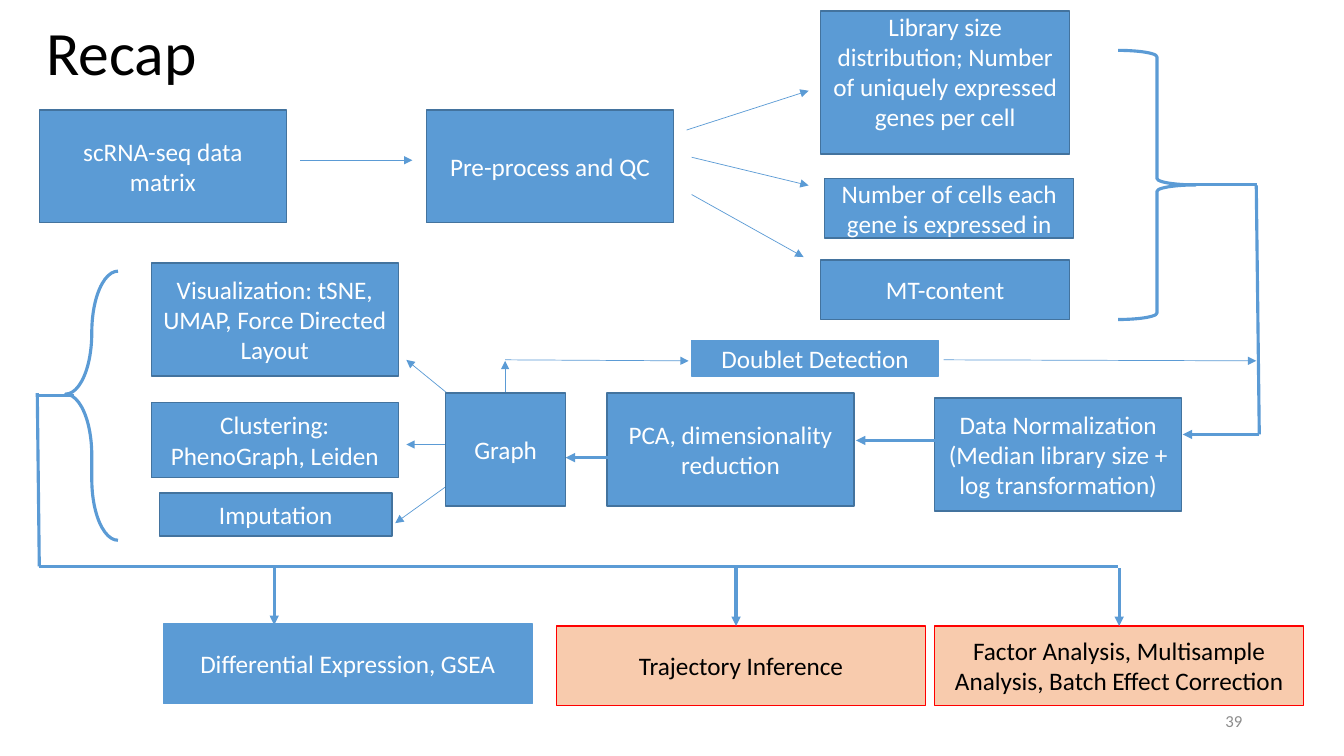
"""Build the single-cell analysis recap flowchart slide."""
import lxml.etree
import pptx
import pptx.dml.color
import pptx.enum.shapes
import pptx.enum.text
import pptx.oxml.ns
import pptx.util

Inches = pptx.util.Inches
Pt = pptx.util.Pt
SHAPE = pptx.enum.shapes.MSO_SHAPE
ALIGN = pptx.enum.text.PP_ALIGN
ANCHOR = pptx.enum.text.MSO_ANCHOR

COLOURS = {
    "blue": "5B9BD5", "edge": "43739E", "peach": "F8CBAD", "red": "FF0000",
    "white": "FFFFFF", "black": "000000", "grey": "8C8C8C",
}
THIN, THICK = 0.5, 2.25
WIDE, TALL = 2.45, 1.12

STEPS = [
    ("scRNA-seq data matrix", 0.39, 1.09, WIDE, TALL),
    ("Pre-process and QC", 4.23, 1.09, WIDE, TALL),
    ("Number of cells each gene is expressed in", 8.18, 1.77, 2.47, 0.59),
    ("MT-content", 8.14, 2.58, 2.47, 0.59),
    ("Data Normalization (Median library size + log transformation)",
     9.27, 3.95, WIDE, TALL),
    ("PCA, dimensionality reduction", 6.02, 3.9, WIDE, TALL),
    ("Visualization: tSNE, UMAP, Force Directed Layout", 1.5, 2.61, WIDE, TALL),
    ("Clustering: PhenoGraph, Leiden", 1.5, 3.99, WIDE, 0.75),
    ("Imputation", 1.58, 4.89, 2.31, 0.43),
]
THIN_ARROWS = [
    (2.98, 1.59, 4.09, 1.59),
    (6.81, 1.29, 8.02, 0.9),
    (6.86, 1.56, 8.02, 1.84),
    (6.86, 1.93, 7.97, 2.55),
    (4.79, 4.19, 4.03, 3.57),
    (5.28, 4.41, 4.03, 4.41),
    (4.92, 4.47, 3.92, 5.19),
    (9.36, 3.57, 12.46, 3.58),
    (5.01, 4.32, 5.01, 3.58),
    (5.01, 3.57, 6.83, 3.58),
]
THICK_ARROWS = [
    (12.49, 4.31, 11.73, 4.31),
    (9.27, 4.37, 8.49, 4.37),
    (7.01, 4.54, 5.61, 4.54),
    (2.72, 5.62, 2.72, 6.2),
    (7.3, 5.64, 7.3, 6.21),
]
THICK_LINES = [
    (11.72, 1.83, 12.47, 1.83),
    (12.49, 4.31, 12.46, 1.84),
    (0.36, 3.92, 0.73, 3.92),
    (0.39, 5.62, 0.37, 3.9),
    (0.39, 5.62, 2.73, 5.62),
    (2.36, 5.62, 11.09, 5.62),
]


def colour(name):
    """Return the named colour."""
    return pptx.dml.color.RGBColor.from_string(COLOURS[name])


def write(frame, text, size=18, ink="white", align=ALIGN.CENTER, anchor=ANCHOR.MIDDLE):
    """Put formatted text in a text frame and return its paragraph."""
    frame.word_wrap = True
    frame.auto_size = pptx.enum.text.MSO_AUTO_SIZE.NONE
    frame.vertical_anchor = anchor
    para = frame.paragraphs[0]
    para.alignment = align
    span = para.add_run()
    span.text = text
    span.font.name = "Calibri"
    span.font.size = Pt(size)
    span.font.color.rgb = colour(ink)
    return para


def add_box(page, text, left, top, width, height, fill="blue", edge="edge", **text_format):
    """Add a labelled rectangle."""
    box = page.shapes.add_shape(
        SHAPE.RECTANGLE, Inches(left), Inches(top), Inches(width), Inches(height))
    box.shadow.inherit = False
    box.fill.solid()
    box.fill.fore_color.rgb = colour(fill)
    box.line.color.rgb = colour(edge)
    box.line.width = Pt(1)
    write(box.text_frame, text, **text_format)
    return box


def add_line(page, start_x, start_y, end_x, end_y, weight=THICK, arrow=False):
    """Add a straight connector, with an arrowhead at its end if asked."""
    line = page.shapes.add_connector(
        pptx.enum.shapes.MSO_CONNECTOR.STRAIGHT,
        Inches(start_x), Inches(start_y), Inches(end_x), Inches(end_y))
    line.line.color.rgb = colour("blue")
    line.line.width = Pt(weight)
    properties = line._element.spPr
    if arrow:
        outline = properties.find(pptx.oxml.ns.qn("a:ln"))
        lxml.etree.SubElement(outline, pptx.oxml.ns.qn("a:tailEnd"), type="triangle")
    lxml.etree.SubElement(properties, pptx.oxml.ns.qn("a:effectLst"))
    return line


def add_brace(page, left, top, width, height, rotation=0, adjustments=()):
    """Add an unfilled brace."""
    brace = page.shapes.add_shape(
        SHAPE.RIGHT_BRACE, Inches(left), Inches(top), Inches(width), Inches(height))
    brace.shadow.inherit = False
    brace.fill.background()
    brace.line.color.rgb = colour("blue")
    brace.line.width = Pt(THICK)
    brace.rotation = rotation
    for index, value in enumerate(adjustments):
        brace.adjustments[index] = value


def add_title(page, text):
    """Place and format the slide title."""
    title = page.shapes.title
    title.left, title.top = Inches(0.36), Inches(-0.17)
    title.width, title.height = Inches(11.5), Inches(1.45)
    para = write(title.text_frame, text, size=44, ink="black", align=ALIGN.LEFT)
    para.line_spacing = 0.9


def add_page_number(page, text):
    """Add the page number at the lower right."""
    box = page.shapes.add_textbox(Inches(9.42), Inches(6.95), Inches(3), Inches(0.4))
    write(box.text_frame, text, size=12, ink="grey", align=ALIGN.RIGHT)


def main():
    """Build and save the deck."""
    deck = pptx.Presentation()
    deck.slide_width, deck.slide_height = Inches(13.33), Inches(7.5)
    page = deck.slides.add_slide(deck.slide_layouts[5])
    add_title(page, "Recap")

    for step in STEPS:
        add_box(page, *step)
    library = add_box(
        page, "Library size distribution; Number of uniquely expressed genes per cell",
        8.14, 0.11, 2.47, 1.42, anchor=ANCHOR.TOP)
    library.text_frame.margin_top = 0

    add_box(page, "Differential Expression, GSEA", 1.62, 6.19, 3.66, 0.79, edge="blue")
    highlight = {"fill": "peach", "edge": "red", "ink": "black"}
    add_box(page, "Trajectory Inference", 5.52, 6.21, 3.66, 0.79, **highlight)
    factors = add_box(page, "Factor Analysis, Multisample Analysis, Batch Effect Correction",
                      9.27, 6.21, 3.66, 0.79, **highlight)

    add_brace(page, 11.09, 0.5, 0.77, 2.67)
    add_brace(page, 0.65, 2.69, 0.52, 2.67, rotation=180, adjustments=(1.167, 0.543))

    for ends in THIN_ARROWS:
        add_line(page, *ends, weight=THIN, arrow=True)
    for ends in THICK_ARROWS:
        add_line(page, *ends, arrow=True)
    for ends in THICK_LINES:
        add_line(page, *ends)
    add_line(page, 11.1, 5.64, 11.1, 6.21, arrow=True).end_connect(factors, 0)

    add_box(page, "Graph", 4.42, 3.9, 1.19, TALL)
    add_box(page, "Doublet Detection", 6.86, 3.38, WIDE, 0.35, edge="blue")
    add_page_number(page, "39")
    deck.save("out.pptx")


if __name__ == "__main__":
    main()
